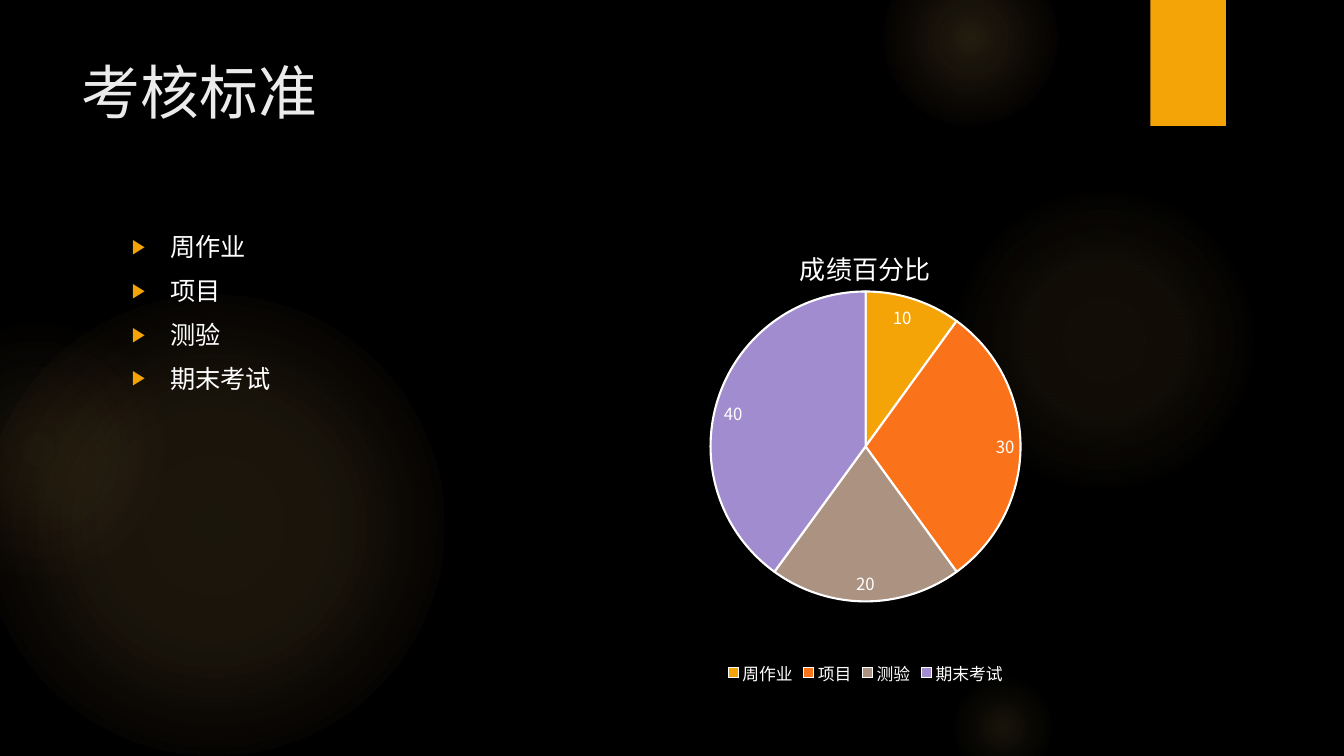
import pptx
import pptx.chart.data
import pptx.dml.color
import pptx.enum.chart
import pptx.enum.shapes
import pptx.enum.text
import pptx.oxml
import pptx.oxml.ns
import pptx.util
import lxml.etree

Inches = pptx.util.Inches
Pt = pptx.util.Pt
A = "http://schemas.openxmlformats.org/drawingml/2006/main"
CJK = "Noto Sans CJK SC"
AMBER = "F5A408"
WHITE = "FFFFFF"


def rgb(value):
    return pptx.dml.color.RGBColor.from_string(value)


def style(font, size, color, face):
    font.size = Pt(size)
    font.color.rgb = rgb(color)
    font.name = face
    font.bold = False


deck = pptx.Presentation()
deck.slide_width, deck.slide_height = Inches(13.33), Inches(7.5)
slide = deck.slides.add_slide(deck.slide_layouts[5])
slide.background.fill.solid()
slide.background.fill.fore_color.rgb = rgb("000000")

glows = [
    (-0.17, 2.92, 4.58, [(0, 11), (36, 10), (75, 0)], "FAC96A"),
    (-0.92, 3.17, 2.58, [(0, 8), (36, 5), (71, 0)], "F59B74"),
    (9.41, 1.83, 3.08, [(0, 7), (36, 6), (69, 0)], "FAC96A"),
    (8.75, -0.5, 1.75, [(0, 14), (36, 7), (73, 0)], "FAC96A"),
    (9.41, 6.67, 1.08, [(0, 10), (31, 5), (66, 0)], "FAC96A"),
]
for left, top, size, stops, edge in glows:
    glow = slide.shapes.add_shape(
        pptx.enum.shapes.MSO_SHAPE.OVAL,
        Inches(left), Inches(top), Inches(size), Inches(size))
    glow.shadow.inherit = False
    glow.line.fill.background()
    stops_xml = "".join(
        f'<a:gs pos="{pos * 1000}"><a:srgbClr val="{edge if alpha == 0 else "FAC96A"}">'
        f'<a:alpha val="{alpha * 1000}"/></a:srgbClr></a:gs>'
        for pos, alpha in stops)
    gradient = pptx.oxml.parse_xml(
        f'<a:gradFill xmlns:a="{A}" rotWithShape="1"><a:gsLst>{stops_xml}</a:gsLst>'
        '<a:path path="circle"><a:fillToRect l="50000" t="50000" r="50000" b="50000"/>'
        '</a:path></a:gradFill>')
    glow._element.spPr.find(pptx.oxml.ns.qn("a:prstGeom")).addnext(gradient)

ribbon = slide.shapes.add_shape(
    pptx.enum.shapes.MSO_SHAPE.RECTANGLE, Inches(11.41), 0, Inches(0.75), Inches(1.25))
ribbon.shadow.inherit = False
ribbon.fill.solid()
ribbon.fill.fore_color.rgb = rgb(AMBER)
ribbon.line.fill.background()

title = slide.shapes.title
title.left, title.top = Inches(0.71), Inches(0.5)
title.width, title.height = Inches(10.29), Inches(1.53)
title.text_frame.vertical_anchor = pptx.enum.text.MSO_ANCHOR.TOP
heading = title.text_frame.paragraphs[0]
heading.alignment = pptx.enum.text.PP_ALIGN.LEFT
heading_run = heading.add_run()
heading_run.text = "考核标准"
style(heading_run.font, 42, "EBEBEB", "Quicksand")
slide.shapes._spTree.append(title._element)

scores = {"周作业": (10, AMBER), "项目": (30, "FA731A"),
          "测验": (20, "AB9281"), "期末考试": (40, "A18CD0")}

criteria = slide.shapes.add_textbox(Inches(1.21), Inches(2.25), Inches(4.81), Inches(4.59))
criteria.text_frame.word_wrap = True
for index, name in enumerate(scores):
    item = criteria.text_frame.paragraphs[0] if index == 0 else criteria.text_frame.add_paragraph()
    item.space_before, item.space_after = Pt(3.6), Pt(6)
    props = item._p.get_or_add_pPr()
    props.set("marL", str(Inches(0.38)))
    props.set("indent", str(-Inches(0.38)))
    for tag, key, value in [("buClr", None, None), ("buSzPct", "val", "80000"),
                            ("buFont", "typeface", "Arial"), ("buChar", "char", "▶")]:
        bullet = lxml.etree.SubElement(props, pptx.oxml.ns.qn("a:" + tag))
        if key:
            bullet.set(key, value)
        else:
            lxml.etree.SubElement(bullet, pptx.oxml.ns.qn("a:srgbClr")).set("val", AMBER)
    item_run = item.add_run()
    item_run.text = name
    style(item_run.font, 18, WHITE, "Quicksand")

score_data = pptx.chart.data.CategoryChartData()
score_data.categories = list(scores)
score_data.add_series("成绩百分比", [value for value, color in scores.values()])
pie = slide.shapes.add_chart(
    pptx.enum.chart.XL_CHART_TYPE.PIE,
    Inches(6.18), Inches(2.25), Inches(4.81), Inches(4.59), score_data).chart
style(pie.font, 10, WHITE, "Quicksand")
pie.has_title = True
pie_title_run = pie.chart_title.text_frame.paragraphs[0].add_run()
pie_title_run.text = "成绩百分比"
style(pie_title_run.font, 18.6, WHITE, CJK)
pie.has_legend = True
pie.legend.position = pptx.enum.chart.XL_LEGEND_POSITION.BOTTOM
pie.legend.include_in_layout = False
style(pie.legend.font, 12, WHITE, CJK)

plot = pie.plots[0]
plot.vary_by_categories = True
plot.has_data_labels = True
plot.data_labels.show_value = True
plot.data_labels.show_percentage = False
plot.data_labels.position = pptx.enum.chart.XL_LABEL_POSITION.INSIDE_END
style(plot.data_labels.font, 12, WHITE, CJK)
for index, (value, color) in enumerate(scores.values()):
    slice_format = plot.series[0].points[index].format
    slice_format.fill.solid()
    slice_format.fill.fore_color.rgb = rgb(color)
    slice_format.line.color.rgb = rgb(WHITE)
    slice_format.line.width = Pt(1.5)

plot_area = pie._chartSpace.chart.plotArea
for old in plot_area.findall(pptx.oxml.ns.qn("c:layout")):
    plot_area.remove(old)
layout = lxml.etree.Element(pptx.oxml.ns.qn("c:layout"))
manual = lxml.etree.SubElement(layout, pptx.oxml.ns.qn("c:manualLayout"))
for tag, value in [("layoutTarget", "inner"), ("xMode", "edge"), ("yMode", "edge"),
                   ("x", "0.18"), ("y", "0.14"), ("w", "0.64"), ("h", "0.67")]:
    lxml.etree.SubElement(manual, pptx.oxml.ns.qn("c:" + tag)).set("val", value)
plot_area.insert(0, layout)

deck.save("out.pptx")
